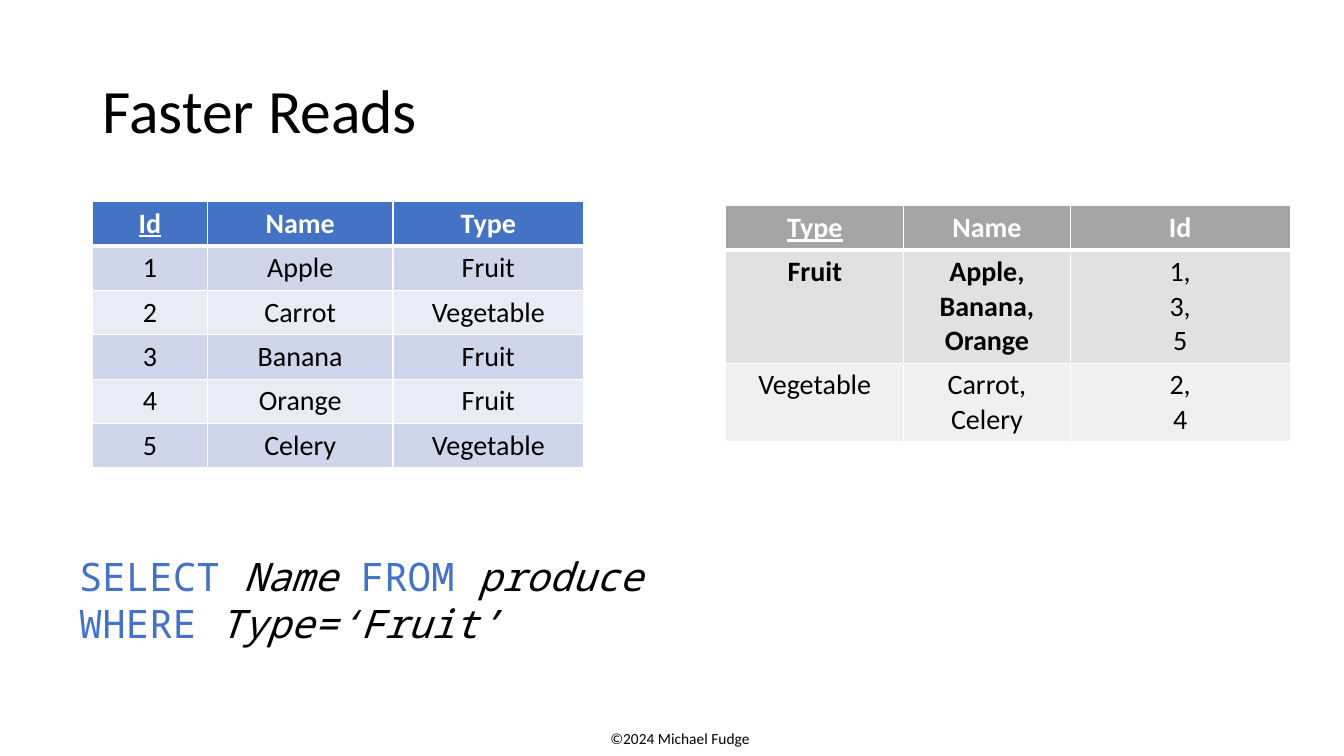
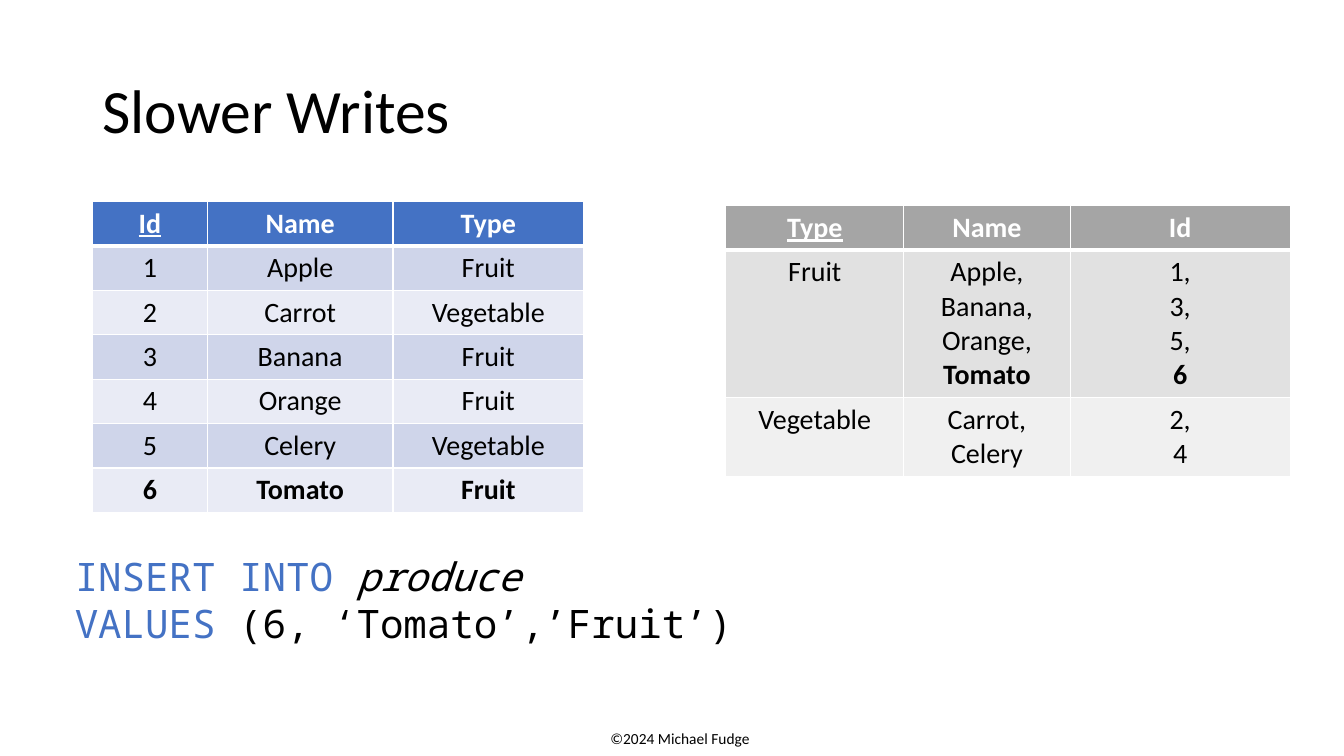
from lxml.etree import SubElement
from pptx import Presentation
from pptx.dml.color import RGBColor
from pptx.enum.text import MSO_ANCHOR, MSO_AUTO_SIZE, PP_ALIGN
from pptx.oxml.ns import qn
from pptx.util import Emu, Inches, Pt

# Shared look: a grid of 160 columns by 90 rows
HUES = {"ink": "000000", "white": "FFFFFF", "blue": "4472C4", "gray": "A5A5A5",
        "blue1": "CFD5EA", "blue2": "E9EBF5", "gray1": "E1E1E1", "gray2": "F0F0F0"}
UNIT = Inches(1) / 12
SANS, MONO = "Calibri", "Noto Sans Mono"


def at(*cells):
    """Turn grid counts into lengths."""
    return [Emu(round(n * UNIT)) for n in cells]


def add(para, text, size, hue="ink", face=SANS, bold=False, slant=False, under=False):
    """Add one styled run to a paragraph."""
    run = para.add_run()
    run.text = text
    font = run.font
    font.name, font.size = face, Pt(size)
    font.bold, font.italic, font.underline = bold, slant, under
    font.color.rgb = RGBColor.from_string(HUES[hue])


# Table data: "*" marks a bold line, the first header is the key
LEFT = [["Id", "Name", "Type"], ["1", "Apple", "Fruit"], ["2", "Carrot", "Vegetable"],
        ["3", "Banana", "Fruit"], ["4", "Orange", "Fruit"], ["5", "Celery", "Vegetable"]]
HEAD = ["Type", "Name", "Id"]
LAST = ["Vegetable", "Carrot,\nCelery", "2,\n4"]

# Each code run: text, colour, italic
SLIDES = [
    {"title": "Faster Reads", "left": LEFT,
     "right": [HEAD, ["*Fruit", "*Apple,\n*Banana,\n*Orange", "1,\n3,\n5"], LAST],
     "code_x": 7,
     "code": [[("SELECT ", "blue", False), ("Name ", "ink", True),
               ("FROM ", "blue", False), ("produce", "ink", True)],
              [("WHERE", "blue", False), (" Type=‘Fruit’", "ink", True)]]},
    {"title": "Slower Writes", "left": LEFT + [["*6", "*Tomato", "*Fruit"]],
     "right": [HEAD, ["Fruit", "Apple,\nBanana,\nOrange,\n*Tomato", "1,\n3,\n5,\n*6"], LAST],
     "code_x": 6.5,
     "code": [[("INSERT INTO ", "blue", False), ("produce", "ink", True)],
              [("VALUES", "blue", False), (" (6, ‘Tomato’,’Fruit’)", "ink", False)]]},
]
# Table places: data key, hue, left, top, column widths
TABLES = [("left", "blue", 11, 24, (13.7, 22.1, 22.7)),
          ("right", "gray", 86.4, 24.5, (21.2, 19.8, 26.2))]
ROW = 4.9

deck = Presentation()
deck.slide_width, deck.slide_height = at(160, 90)
layout = deck.slide_layouts[5]

for page in SLIDES:
    slide = deck.slides.add_slide(layout)

    # Title
    title = slide.shapes.title
    title.left, title.top, title.width, title.height = at(11, 4.8, 138, 17.4)
    frame = title.text_frame
    frame.auto_size = MSO_AUTO_SIZE.NONE
    frame.vertical_anchor = MSO_ANCHOR.MIDDLE
    para = frame.paragraphs[0]
    para.alignment, para.line_spacing = PP_ALIGN.LEFT, 0.9
    add(para, page["title"], 44)

    # Tables
    for key, hue, left, top, widths in TABLES:
        rows = page[key]
        place = at(left, top, sum(widths), ROW * len(rows))
        table = slide.shapes.add_table(len(rows), len(widths), *place).table
        table.horz_banding = False
        for col, width in zip(table.columns, at(*widths)):
            col.width = width
        for r, row in enumerate(rows):
            table.rows[r].height = at(ROW)[0]
            shade = hue if r == 0 else hue + ("1" if r % 2 else "2")
            for c, text in enumerate(row):
                cell = table.cell(r, c)
                # White borders, heavy below the header
                for side in "LRTB":
                    heavy = (r, side) in [(0, "B"), (1, "T")]
                    line = SubElement(cell._tc.get_or_add_tcPr(), qn("a:ln" + side),
                                      w=str(Pt(3 if heavy else 1)))
                    fill = SubElement(line, qn("a:solidFill"))
                    SubElement(fill, qn("a:srgbClr"), val=HUES["white"])
                cell.fill.solid()
                cell.fill.fore_color.rgb = RGBColor.from_string(HUES[shade])
                for n, part in enumerate(text.split("\n")):
                    frame = cell.text_frame
                    para = frame.add_paragraph() if n else frame.paragraphs[0]
                    para.alignment = PP_ALIGN.CENTER
                    add(para, part.lstrip("*"), 20, "ink" if r else "white",
                        bold=r == 0 or part.startswith("*"), under=r == 0 and c == 0)

    # Query
    box = slide.shapes.add_textbox(*at(page["code_x"], 65.2, 124.5, 12.5))
    frame = box.text_frame
    frame.word_wrap = True
    frame.margin_left = Inches(0.2)
    for n, line in enumerate(page["code"]):
        para = frame.add_paragraph() if n else frame.paragraphs[0]
        for text, hue, slant in line:
            add(para, text, 28, hue, MONO, slant=slant)

# Footer, moved to the master so that every slide shows it
foot = slide.shapes.add_textbox(*at(69, 86.2, 23.9, 3.5))
foot.text_frame.word_wrap = True
para = foot.text_frame.paragraphs[0]
para.alignment = PP_ALIGN.CENTER
add(para, "©2024 Michael Fudge", 11)
deck.slide_master.shapes.element.append(foot.element)

deck.save("out.pptx")
